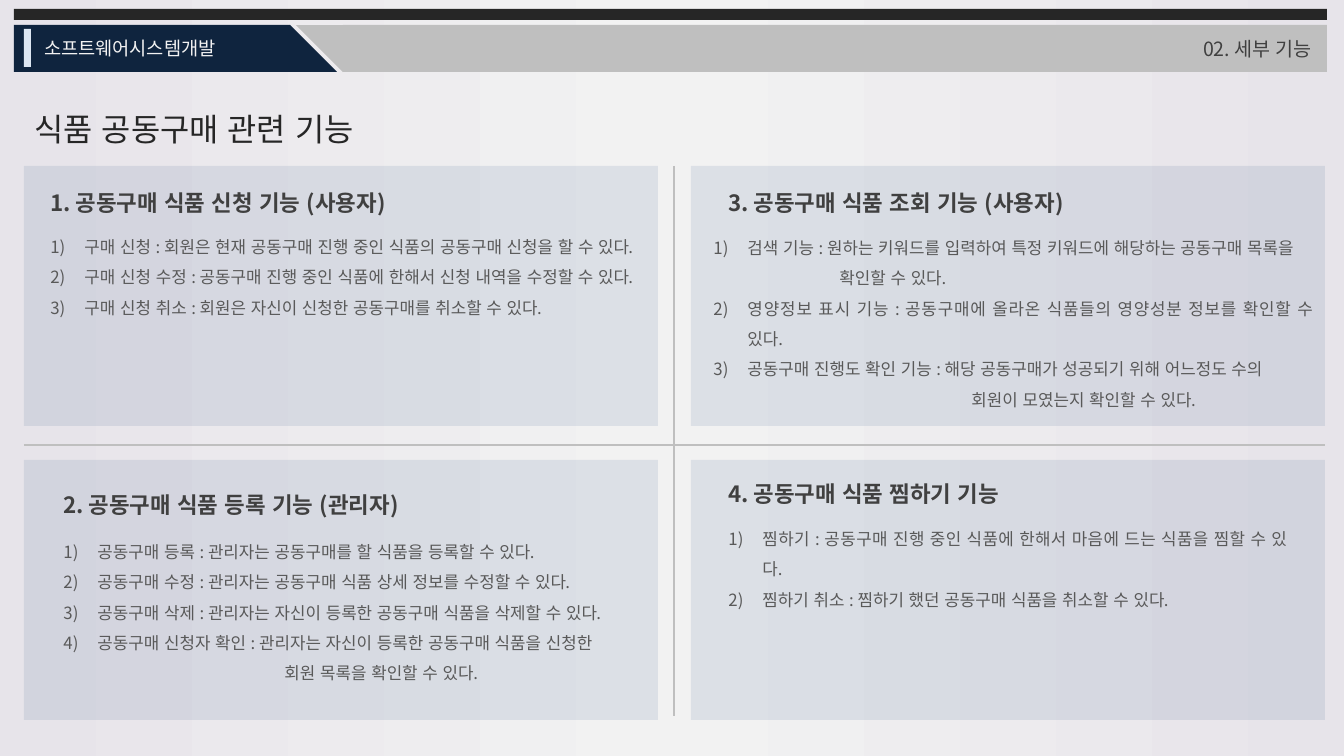
"""Build the slide on the group-buying features of a food service."""
import copy

import pptx
import pptx.dml.color
import pptx.enum.lang
import pptx.enum.shapes
import pptx.enum.text
import pptx.oxml.ns
import pptx.util
from lxml import etree

SCALE = 914400 / 134.4
FONT = "Noto Sans CJK KR"
COLORS = {
    "edge": "E7E4EA", "middle": "F2F2F2", "panel": "1F497D", "bar": "262626",
    "navy": "0F243E", "band": "BFBFBF", "tick": "DCE6F2", "course": "F2F2F2",
    "section": "404040", "title": "262626", "heading": "404040", "item": "595959",
}
BACKGROUND = [(0, "edge"), (0.5, "middle"), (1, "edge")]
TITLE = "식품 공동구매 관련 기능"
COURSE = "소프트웨어시스템개발"
SECTION = "02. 세부 기능"
COLUMNS, ROWS = (24, 691), (166, 460)
PANEL_SIZE = (634, 260)
HANG = 34
RULES = [(24, 445, 1325, 445), (674, 166, 674, 716)]

FEATURES = [
    {"heading": "1. 공동구매 식품 신청 기능 (사용자)", "heading_at": (37, 169), "list_at": (37, 220, 610, 102),
     "items": [
         ("구매 신청 : 회원은 현재 공동구매 진행 중인 식품의 공동구매 신청을 할 수 있다.", None),
         ("구매 신청 수정 : 공동구매 진행 중인 식품에 한해서 신청 내역을 수정할 수 있다.", None),
         ("구매 신청 취소 : 회원은 자신이 신청한 공동구매를 취소할 수 있다.", None)]},
    {"heading": "2. 공동구매 식품 등록 기능 (관리자)", "heading_at": (50, 471), "list_at": (50, 525, 583, 164),
     "items": [
         ("공동구매 등록 : 관리자는 공동구매를 할 식품을 등록할 수 있다.", None),
         ("공동구매 수정 : 관리자는 공동구매 식품 상세 정보를 수정할 수 있다.", None),
         ("공동구매 삭제 : 관리자는 자신이 등록한 공동구매 식품을 삭제할 수 있다.", None),
         ("공동구매 신청자 확인 : 관리자는 자신이 등록한 공동구매 식품을 신청한", None),
         ("회원 목록을 확인할 수 있다.", 221)]},
    {"heading": "3. 공동구매 식품 조회 기능 (사용자)", "heading_at": (715, 169), "list_at": (700, 221, 626, 164),
     "items": [
         ("검색 기능 : 원하는 키워드를 입력하여 특정 키워드에 해당하는 공동구매 목록을", None),
         ("확인할 수 있다.", 126),
         ("영양정보 표시 기능 : 공동구매에 올라온 식품들의 영양성분 정보를 확인할 수 있다.", None),
         ("공동구매 진행도 확인 기능 : 해당 공동구매가 성공되기 위해 어느정도 수의", None),
         ("회원이 모였는지 확인할 수 있다.", 258)]},
    {"heading": "4. 공동구매 식품 찜하기 기능", "heading_at": (715, 460), "list_at": (715, 512, 585, 71),
     "items": [
         ("찜하기 : 공동구매 진행 중인 식품에 한해서 마음에 드는 식품을 찜할 수 있다.", None),
         ("찜하기 취소 : 찜하기 했던 공동구매 식품을 취소할 수 있다.", None)]},
]

qn = pptx.oxml.ns.qn
SHAPE = pptx.enum.shapes.MSO_SHAPE
ALIGN = pptx.enum.text.PP_ALIGN


def px(value):
    return pptx.util.Emu(round(value * SCALE))


def rgb(name):
    return pptx.dml.color.RGBColor.from_string(COLORS[name])


def paint_background(slide):
    fill = slide.background.fill
    fill.gradient()
    fill.gradient_angle = 0
    stop_list = next(slide._element.iter(qn("a:gsLst")))
    stop_list.append(copy.deepcopy(stop_list[0]))
    for stop, (position, color) in zip(fill.gradient_stops, BACKGROUND):
        stop.position = position
        stop.color.rgb = rgb(color)


def add_block(slide, kind, box, color, alpha=None, rotation=0):
    block = slide.shapes.add_shape(kind, *map(px, box))
    block.shadow.inherit = False
    block.rotation = rotation
    block.fill.solid()
    block.fill.fore_color.rgb = rgb(color)
    block.line.fill.background()
    if alpha:
        tint = next(block._element.spPr.iter(qn("a:srgbClr")))
        etree.SubElement(tint, qn("a:alpha"), val=str(alpha * 1000))
    return block


def add_rule(slide, ends):
    rule = slide.shapes.add_connector(pptx.enum.shapes.MSO_CONNECTOR.STRAIGHT, *map(px, ends))
    rule.line.color.rgb = rgb("band")
    rule.line.width = pptx.util.Pt(1)
    etree.SubElement(rule._element.spPr, qn("a:effectLst"))


def place(slide, holder, box):
    holder.left, holder.top, holder.width, holder.height = map(px, box)
    slide.shapes._spTree.append(holder._element)
    frame = holder.text_frame
    frame.word_wrap = True
    frame.auto_size = pptx.enum.text.MSO_AUTO_SIZE.NONE
    frame.vertical_anchor = pptx.enum.text.MSO_ANCHOR.TOP
    return frame


def style(paragraph, size, color, bold=False, align=ALIGN.LEFT, spacing=1.0):
    paragraph.alignment = align
    paragraph.line_spacing = spacing
    paragraph.space_before = pptx.util.Pt(0)
    for run in paragraph.runs:
        run.font.size = pptx.util.Pt(size)
        run.font.bold = bold
        run.font.color.rgb = rgb(color)
        run.font.name = FONT
        run.font.language_id = pptx.enum.lang.MSO_LANGUAGE_ID.KOREAN
        properties = run._r.get_or_add_rPr()
        properties.set("kern", "0")
        etree.SubElement(properties, qn("a:ea"), typeface=FONT)


def add_label(slide, text, box, size, color, **options):
    frame = place(slide, slide.shapes.add_textbox(0, 0, 0, 0), box)
    frame.text = text
    style(frame.paragraphs[0], size, color, **options)


def fill_list(frame, items):
    frame.text = "\n".join(text for text, _ in items)
    number = start = 1
    for paragraph, (_, indent) in zip(frame.paragraphs, items):
        properties = paragraph._p.get_or_add_pPr()
        properties.set("hangingPunct", "0")
        if indent is None:
            properties.set("marL", str(px(HANG)))
            properties.set("indent", str(-px(HANG)))
            etree.SubElement(properties, qn("a:buFont"), typeface=FONT)
            etree.SubElement(properties, qn("a:buAutoNum"), type="arabicParenR", startAt=str(start))
            number += 1
        else:
            properties.set("marL", str(px(indent)))
            properties.set("indent", "0")
            etree.SubElement(properties, qn("a:buNone"))
            start = number
        style(paragraph, 9, "item", align=ALIGN.JUSTIFY, spacing=1.5)


def main():
    deck = pptx.Presentation()
    deck.slide_width, deck.slide_height = px(1344), px(756)
    slide = deck.slides.add_slide(deck.slide_layouts.get_by_name("Comparison"))
    for holder in list(slide.placeholders):
        if holder.placeholder_format.idx > 4:
            holder._element.getparent().remove(holder._element)
    title, *lists = sorted(slide.placeholders, key=lambda holder: holder.placeholder_format.idx)
    paint_background(slide)

    for left in COLUMNS:
        for top in ROWS:
            add_block(slide, SHAPE.RECTANGLE, (left, top, *PANEL_SIZE), "panel", alpha=10)
    add_block(slide, SHAPE.RECTANGLE, (14, 9, 1313, 11), "bar")
    add_block(slide, SHAPE.RECTANGLE, (14, 25, 276, 47), "navy")
    add_block(slide, SHAPE.RIGHT_TRIANGLE, (290, 25, 47, 47), "navy")
    band = add_block(slide, SHAPE.RECTANGLE, (343, 25, 984, 47), "band")
    slant = add_block(slide, SHAPE.RIGHT_TRIANGLE, (296, 25, 47, 47), "band", rotation=180)
    slide.shapes.add_group_shape([band, slant])
    add_block(slide, SHAPE.RECTANGLE, (24, 29, 7, 38), "tick")
    add_label(slide, COURSE, (31, 30, 210, 36), 10, "course")
    add_label(slide, SECTION, (1074, 30, 251, 38), 10.5, "section", align=ALIGN.RIGHT)

    title_frame = place(slide, title, (21, 103, 429, 52))
    title_frame.text = TITLE
    style(title_frame.paragraphs[0], 17, "title")
    for feature, holder in zip(FEATURES, lists):
        add_label(slide, feature["heading"], (*feature["heading_at"], 420, 50), 12, "heading",
                  bold=True, spacing=1.5)
        fill_list(place(slide, holder, feature["list_at"]), feature["items"])
    for ends in RULES:
        add_rule(slide, ends)
    deck.save("out.pptx")


if __name__ == "__main__":
    main()
